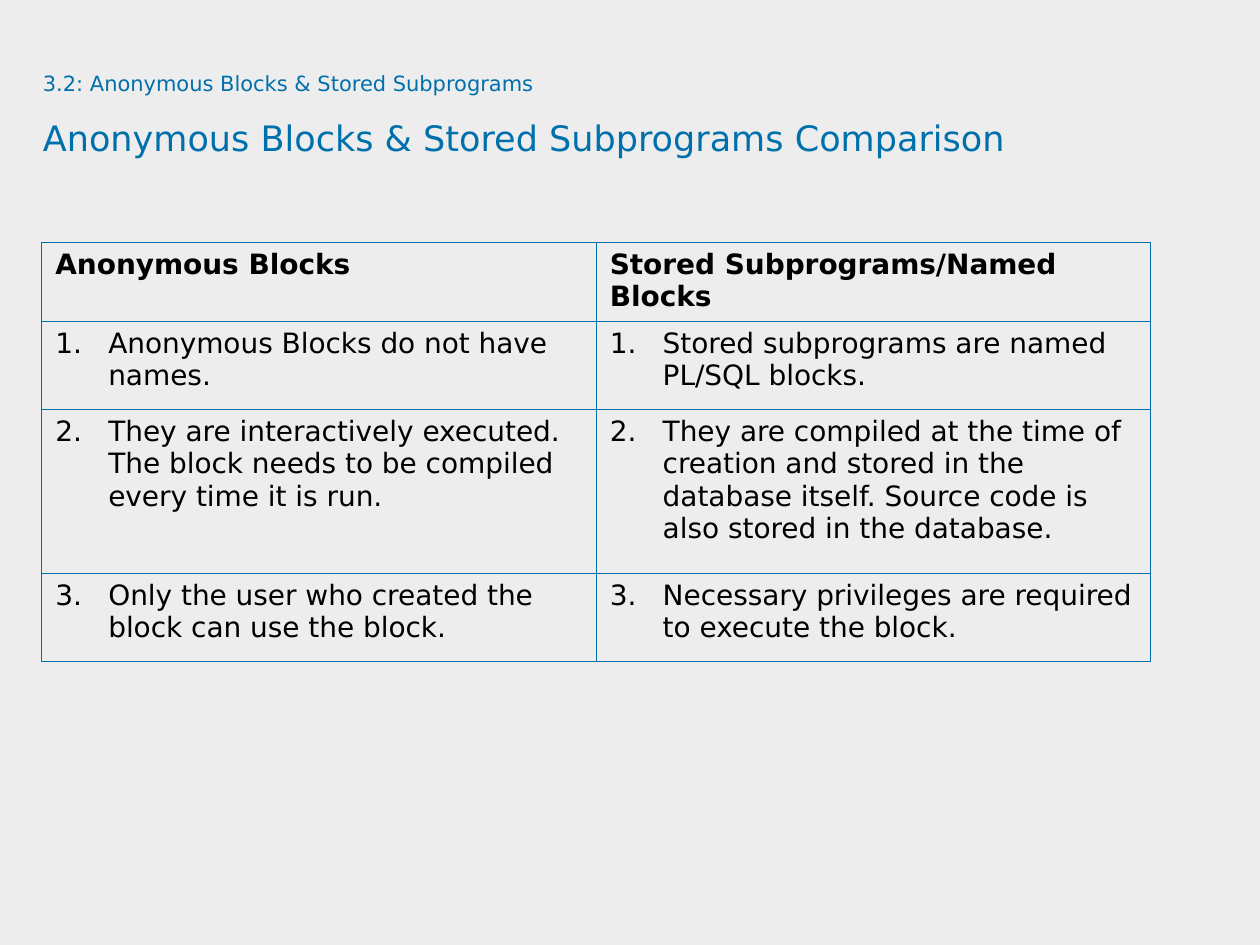
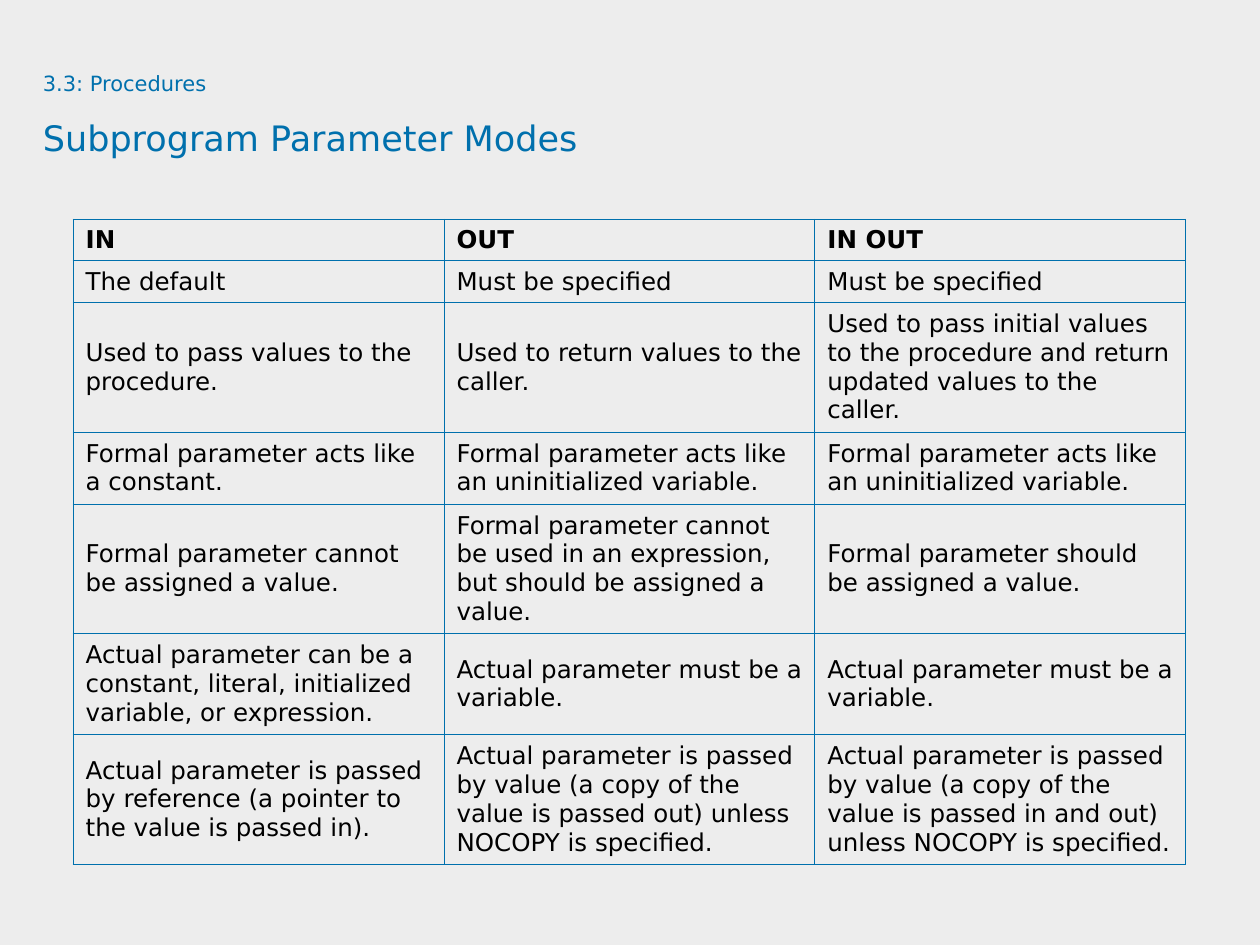
from lxml import etree
from pptx import Presentation
from pptx.dml.color import RGBColor
from pptx.enum.text import MSO_ANCHOR, MSO_AUTO_SIZE, PP_ALIGN
from pptx.oxml.ns import qn
from pptx.util import Inches, Pt

TOP, MIDDLE = MSO_ANCHOR.TOP, MSO_ANCHOR.MIDDLE
LEFT = PP_ALIGN.LEFT
NO_FIT = MSO_AUTO_SIZE.NONE
COLORS = {"page": "EDEDED", "blue": "0070AD", "text": "000000"}
FONT = "DejaVu Sans"
TITLE_ONLY = 5
BORDER = Pt(0.45)
INDENT = Inches(0.42)

BLOCKS = [
    ["Anonymous Blocks", "Stored Subprograms/Named Blocks"],
    ["Anonymous Blocks do not have names.",
     "Stored subprograms are named PL/SQL blocks."],
    ["They are interactively executed. The block needs to be compiled every "
     "time it is run.",
     "They are compiled at the time of creation and stored in the database "
     "itself. Source code is also stored in the database."],
    ["Only the user who created the block can use the block.",
     "Necessary privileges are required to execute the block."],
]
MODES = [
    ["IN", "OUT", "IN OUT"],
    ["The default", "Must be specified", "Must be specified"],
    ["Used to pass values to the procedure.",
     "Used to return values to the caller.",
     "Used to pass initial values to the procedure and return updated values "
     "to the caller."],
    ["Formal parameter acts like a constant.",
     "Formal parameter acts like an uninitialized variable.",
     "Formal parameter acts like an uninitialized variable."],
    ["Formal parameter cannot be assigned a value.",
     "Formal parameter cannot be used in an expression, but should be "
     "assigned a value.",
     "Formal parameter should be assigned a value."],
    ["Actual parameter can be a constant, literal, initialized variable, or "
     "expression.",
     "Actual parameter must be a variable.",
     "Actual parameter must be a variable."],
    ["Actual parameter is passed by reference (a pointer to the value is "
     "passed in).",
     "Actual parameter is passed by value (a copy of the value is passed "
     "out) unless NOCOPY is specified.",
     "Actual parameter is passed by value (a copy of the value is passed in "
     "and out) unless NOCOPY is specified."],
]


def color(name):
    return RGBColor.from_string(COLORS[name])


def paint_page(prs):
    fill = prs.slide_master.background.fill
    fill.solid()
    fill.fore_color.rgb = color("page")


def add_slide(prs, topic, title):
    """Add a slide whose title has a small topic line above it."""
    slide = prs.slides.add_slide(prs.slide_layouts[TITLE_ONLY])
    shape = slide.shapes.title
    shape.left, shape.top = Inches(0.34), Inches(0.46)
    shape.width, shape.height = Inches(9.09), Inches(0.94)
    frame = shape.text_frame
    frame.margin_left = frame.margin_right = 0
    frame.margin_top = frame.margin_bottom = 0
    frame.vertical_anchor = TOP
    frame.auto_size = NO_FIT
    frame.word_wrap = True
    para = frame.paragraphs[0]
    para.alignment = LEFT
    para.line_spacing = 1.5
    para.font.name = FONT
    para.font.color.rgb = color("blue")
    run = para.add_run()
    run.text, run.font.size = topic, Pt(12)
    para.add_line_break()
    run = para.add_run()
    run.text, run.font.size = title, Pt(20)
    return slide


def add_border(cell):
    props = cell._tc.get_or_add_tcPr()
    for side in ("lnL", "lnR", "lnT", "lnB"):
        line = etree.SubElement(props, qn(f"a:{side}"), w=str(int(BORDER)))
        fill = etree.SubElement(line, qn("a:solidFill"))
        etree.SubElement(fill, qn("a:srgbClr"), val=COLORS["blue"])


def add_number(para, start):
    props = para._p.get_or_add_pPr()
    props.set("marL", str(int(INDENT)))
    props.set("indent", str(-int(INDENT)))
    etree.SubElement(props, qn("a:buAutoNum"), type="arabicPeriod",
                     startAt=str(start))


def fill_cell(cell, text, size, pad, anchor, row, numbered):
    add_border(cell)
    cell.fill.background()
    cell.margin_left = cell.margin_right = Inches(pad)
    cell.margin_top = cell.margin_bottom = Inches(0.05)
    cell.vertical_anchor = anchor
    cell.text = text
    para = cell.text_frame.paragraphs[0]
    if numbered and row:
        add_number(para, row)
    para.font.name = FONT
    para.font.size = Pt(size)
    para.font.bold = row == 0
    para.font.color.rgb = color("text")


def add_grid(slide, data, left, top, width, heights, size, pad, anchor,
             numbered=False):
    """Add a table of equal columns with a bold first row."""
    table = slide.shapes.add_table(
        len(data), len(data[0]), Inches(left), Inches(top),
        Inches(width), Inches(sum(heights))).table
    table.first_row = table.horz_banding = False
    for row, (texts, height) in enumerate(zip(data, heights)):
        table.rows[row].height = Inches(height)
        for col, text in enumerate(texts):
            fill_cell(table.cell(row, col), text, size, pad, anchor, row,
                      numbered)


def main():
    prs = Presentation()
    prs.slide_width, prs.slide_height = Inches(10), Inches(7.5)
    paint_page(prs)

    slide = add_slide(prs, "3.2: Anonymous Blocks & Stored Subprograms",
                      "Anonymous Blocks & Stored Subprograms Comparison")
    add_grid(slide, BLOCKS, 0.33, 1.92, 8.8, [0.63, 0.7, 1.3, 0.7],
             size=16, pad=0.11, anchor=TOP, numbered=True)

    slide = add_slide(prs, "3.3: Procedures", "Subprogram Parameter Modes")
    add_grid(slide, MODES, 0.58, 1.74, 8.83,
             [0.33, 0.33, 1.03, 0.57, 1.03, 0.8, 1.03],
             size=14, pad=0.1, anchor=MIDDLE)

    prs.save("out.pptx")


if __name__ == "__main__":
    main()
